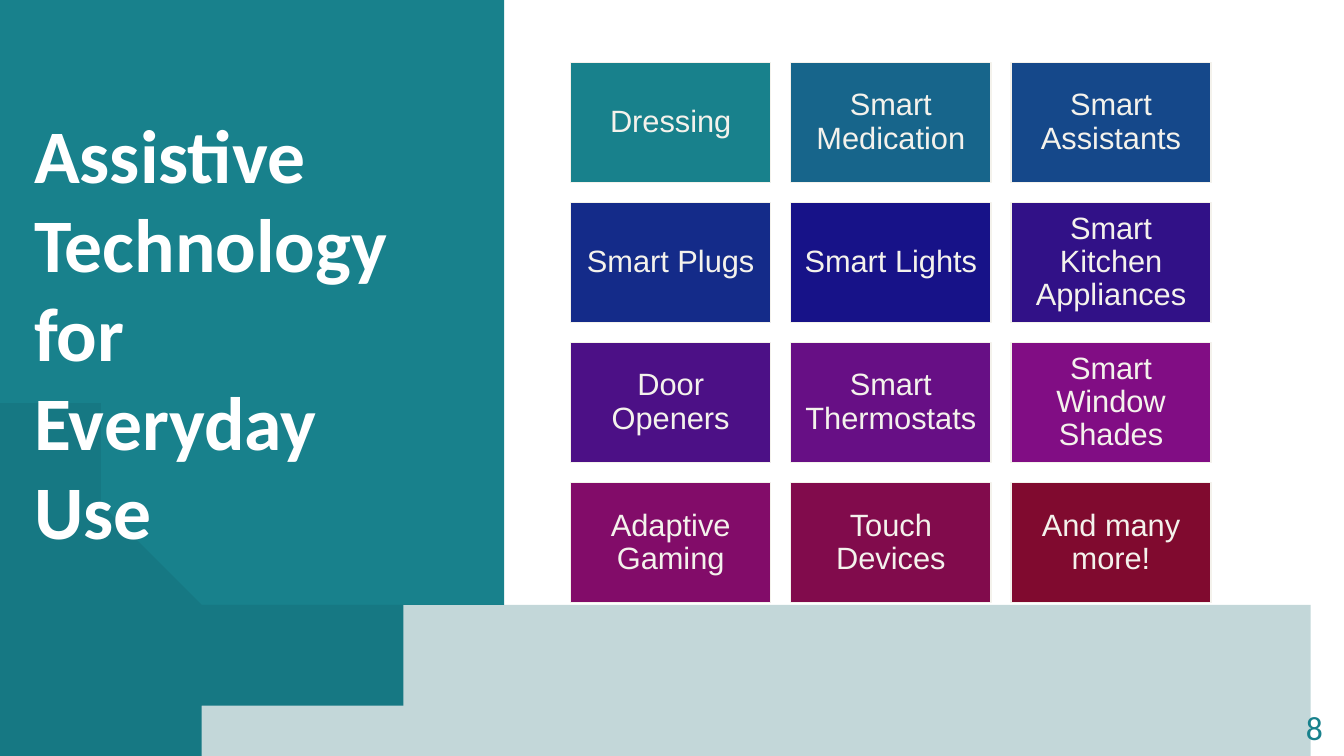
from pptx import Presentation
from pptx.dml.color import RGBColor
from pptx.enum.shapes import MSO_SHAPE
from pptx.enum.text import MSO_ANCHOR, PP_ALIGN
from pptx.oxml.ns import qn
from pptx.util import Inches, Pt
from lxml import etree

RECTANGLE = MSO_SHAPE.RECTANGLE
TOP, MIDDLE = MSO_ANCHOR.TOP, MSO_ANCHOR.MIDDLE
LEFT, CENTER, RIGHT = PP_ALIGN.LEFT, PP_ALIGN.CENTER, PP_ALIGN.RIGHT

# Content
TITLE = [["Assistive Technology", "for"], ["Everyday ", "Use"]]
PAGE_NUMBER = [["8"]]
TILES = [
    [("Dressing", "18818C"), ("Smart Medication", "17658B"), ("Smart Assistants", "15488A")],
    [("Smart Plugs", "142B89"), ("Smart Lights", "171288"), ("Smart Kitchen Appliances", "311187")],
    [("Door Openers", "4C1086"), ("Smart Thermostats", "670F85"), ("Smart Window Shades", "810D84")],
    [("Adaptive Gaming", "820C69"), ("Touch Devices", "810B4C"), ("And many more!", "800A2F")],
]
COLORS = {"teal": "18818C", "deep": "126169", "white": "FFFFFF", "cream": "F4F2EC"}

# Layout in inches
WIDTH, HEIGHT = 13.33, 7.5
GRID_LEFT, GRID_TOP = 5.66, 0.62
TILE_WIDTH = 1.985
TILE_HEIGHT = 0.6 * TILE_WIDTH
GAP = 0.1 * TILE_WIDTH

# Outlines: a pair is a corner, a triple of pairs is a Bezier curve
PANEL = [
    (0, 0), (4.67, 0), (4.67, 4.6), (4.66, 4.8),
    ((4.52, 6.21), (3.4, 7.34), (1.99, 7.48)),
    (1.7, HEIGHT), (0, HEIGHT),
]
WAVE = [
    (0, 2.52), (0.01, 2.52), (0.02, 2.83),
    ((0.23, 4.85), (1.93, 6.42), (4, 6.42)),
    (WIDTH, 6.42), (WIDTH, HEIGHT), (0, HEIGHT),
]
CURVE_STEPS = 40


def trace(outline):
    points = []
    for item in outline:
        if not isinstance(item[0], tuple):
            points.append(item)
            continue
        controls = [points[-1], *item]
        for step in range(1, CURVE_STEPS + 1):
            t = step / CURVE_STEPS
            weights = ((1 - t) ** 3, 3 * t * (1 - t) ** 2, 3 * t * t * (1 - t), t ** 3)
            points.append(tuple(
                sum(weight * control[axis] for weight, control in zip(weights, controls))
                for axis in (0, 1)))
    return points


def paint(shape, color, opacity=100):
    shape.shadow.inherit = False
    shape.fill.solid()
    shape.fill.fore_color.rgb = RGBColor.from_string(color)
    if opacity < 100:
        solid_color = shape.fill._xPr.find(qn("a:solidFill"))[0]
        etree.SubElement(solid_color, qn("a:alpha"), val=str(opacity * 1000))


def add_outline(slide, outline, color, opacity=100):
    points = trace(outline)
    builder = slide.shapes.build_freeform(*points[0], scale=Inches(1))
    builder.add_line_segments(points[1:], close=True)
    shape = builder.convert_to_shape()
    paint(shape, color, opacity)
    shape.line.fill.background()


def write(shape, paragraphs, font, size, color, align, anchor, spacing, bold=False):
    frame = shape.text_frame
    frame.word_wrap = True
    frame.vertical_anchor = anchor
    for index, lines in enumerate(paragraphs):
        paragraph = frame.add_paragraph() if index else frame.paragraphs[0]
        paragraph.alignment = align
        paragraph.line_spacing = spacing
        for number, line in enumerate(lines):
            if number:
                paragraph.add_line_break()
            run = paragraph.add_run()
            run.text = line
            run.font.name = font
            run.font.size = Pt(size)
            run.font.bold = bold
            run.font.color.rgb = RGBColor.from_string(color)


def add_text(slide, box, *style, **options):
    shape = slide.shapes.add_textbox(*map(Inches, box))
    write(shape, *style, **options)


def add_tile(slide, column, row, label, color):
    shape = slide.shapes.add_shape(
        RECTANGLE,
        Inches(GRID_LEFT + column * (TILE_WIDTH + GAP)),
        Inches(GRID_TOP + row * (TILE_HEIGHT + GAP)),
        Inches(TILE_WIDTH), Inches(TILE_HEIGHT))
    paint(shape, color)
    shape.line.color.rgb = RGBColor.from_string(COLORS["cream"])
    shape.line.width = Pt(1)
    frame = shape.text_frame
    frame.margin_left = frame.margin_right = Inches(0.09)
    frame.margin_top = frame.margin_bottom = Inches(0.09)
    write(shape, [[label]], "Arial", 22, COLORS["cream"], CENTER, MIDDLE, 0.9)


def main():
    presentation = Presentation()
    presentation.slide_width, presentation.slide_height = Inches(WIDTH), Inches(HEIGHT)
    slide = presentation.slides.add_slide(presentation.slide_layouts[6])

    # Teal panel and translucent wave
    add_outline(slide, PANEL, COLORS["teal"])
    add_outline(slide, WAVE, COLORS["deep"], opacity=25)

    # Title and page number
    add_text(slide, (0.24, 1.07, 3.9, 4.25), TITLE, "Calibri", 54, COLORS["white"],
             LEFT, TOP, 0.98, bold=True)
    add_text(slide, (12.46, 7.04, 0.76, 0.4), PAGE_NUMBER, "Calibri", 24, COLORS["teal"],
             RIGHT, MIDDLE, 0.9)

    # Grid of technology tiles
    for row, tiles in enumerate(TILES):
        for column, (label, color) in enumerate(tiles):
            add_tile(slide, column, row, label, color)

    presentation.save("out.pptx")


if __name__ == "__main__":
    main()
